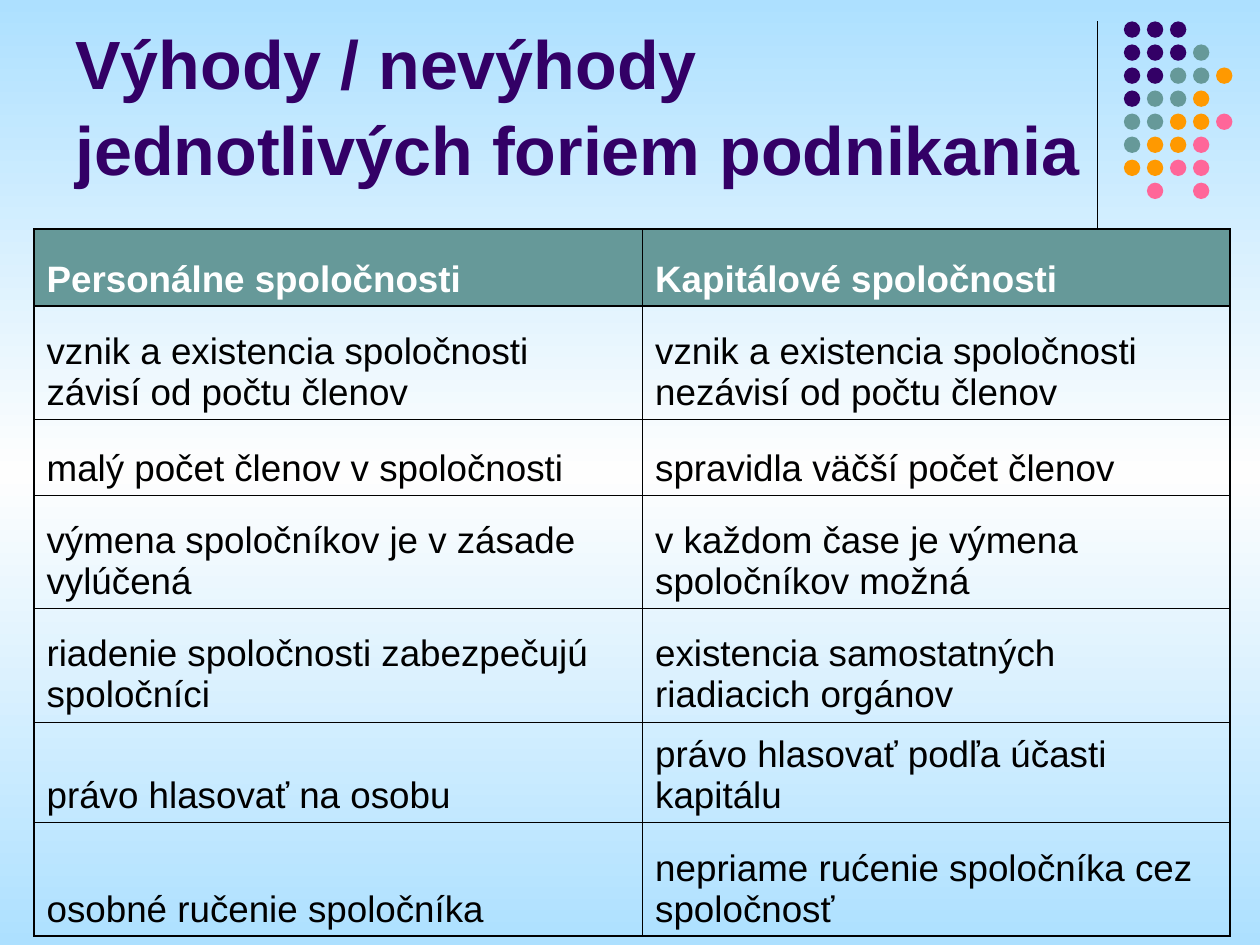
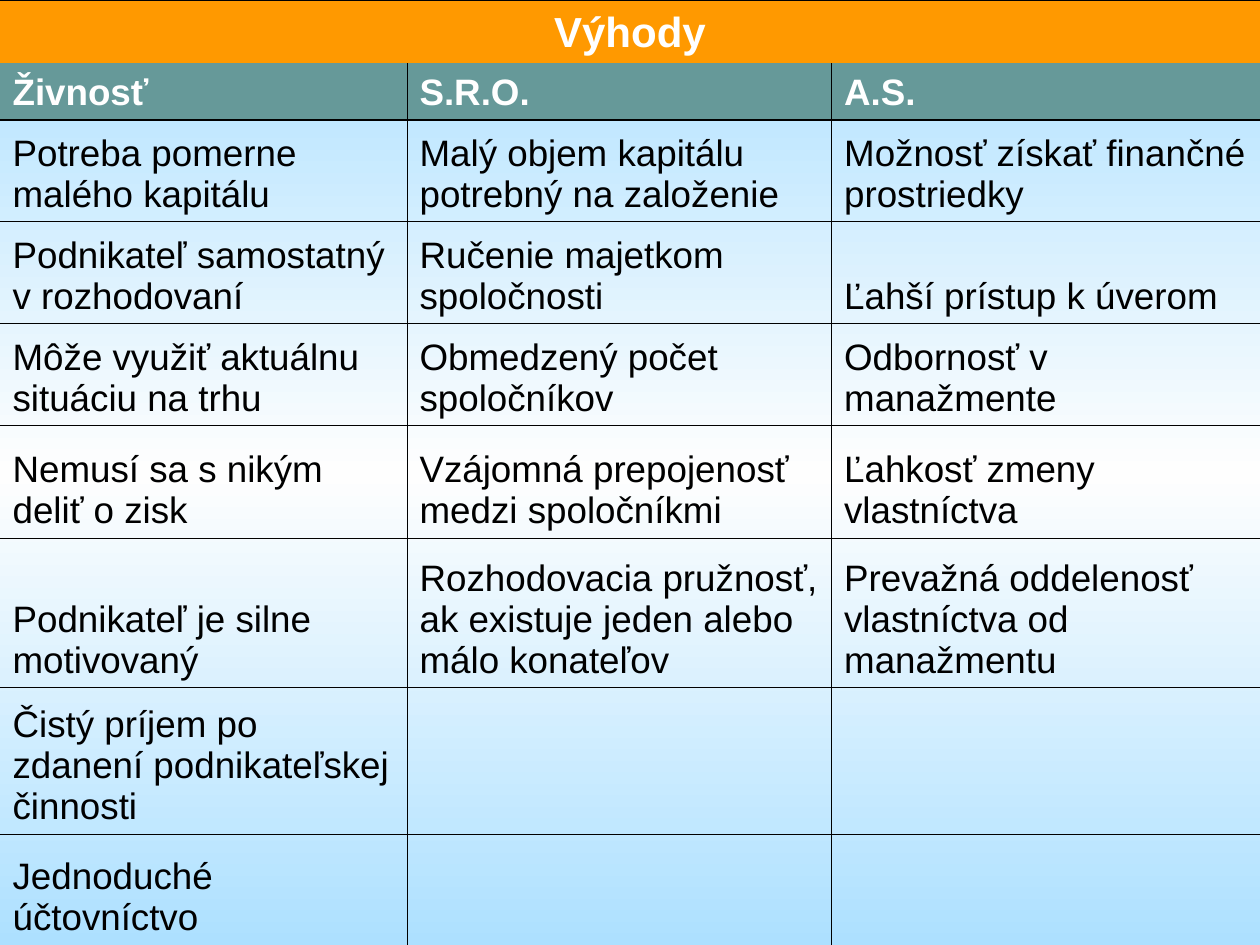
from dataclasses import dataclass

from lxml.etree import SubElement
from pptx import Presentation
from pptx.dml.color import RGBColor as RGB
from pptx.enum.shapes import MSO_CONNECTOR as CONNECTOR, MSO_SHAPE as SHAPE
from pptx.enum.text import MSO_ANCHOR as ANCHOR, PP_ALIGN as ALIGN
from pptx.oxml.ns import qn
from pptx.util import Inches, Pt


@dataclass(frozen=True)
class Theme:
    font: str = "Arial"
    violet: str = "330066"
    teal: str = "669999"
    orange: str = "FF9900"
    pink: str = "FF6699"
    black: str = "000000"
    white: str = "FFFFFF"
    background: tuple = ((0, "ADE0FF"), (50, "FEFEFE"), (100, "ADE0FF"))
    title_size: int = 39
    banner_size: int = 24
    table_size: int = 21
    thin: float = 0.45
    thick: float = 1.08


THEME = Theme()

DOT_ROWS = ["VVV", "VVVT", "VVTTO", "VTTO", "TTOOP", "TOOP", "OOPP", " P P"]
DOT_COLORS = {"V": THEME.violet, "T": THEME.teal, "O": THEME.orange, "P": THEME.pink}

COMPANY_TYPES = [
    ("Personálne spoločnosti", "Kapitálové spoločnosti"),
    ("vznik a existencia spoločnosti závisí od počtu členov",
     "vznik a existencia spoločnosti nezávisí od počtu členov"),
    ("malý počet členov v spoločnosti", "spravidla väčší počet členov"),
    ("výmena spoločníkov je v zásade vylúčená",
     "v každom čase je výmena spoločníkov možná"),
    ("riadenie spoločnosti zabezpečujú spoločníci",
     "existencia samostatných riadiacich orgánov"),
    ("právo hlasovať na osobu", "právo hlasovať podľa účasti kapitálu"),
    ("osobné ručenie spoločníka", "nepriame rućenie spoločníka cez spoločnosť"),
]

ADVANTAGES = [
    ("Výhody", "", ""),
    ("Živnosť", "S.R.O.", "A.S."),
    ("Potreba pomerne malého kapitálu", "Malý objem kapitálu potrebný na založenie",
     "Možnosť získať finančné prostriedky"),
    ("Podnikateľ samostatný v rozhodovaní", "Ručenie majetkom spoločnosti",
     "Ľahší prístup k úverom"),
    ("Môže využiť aktuálnu situáciu na trhu", "Obmedzený počet spoločníkov",
     "Odbornosť v manažmente"),
    ("Nemusí sa s nikým deliť o zisk", "Vzájomná prepojenosť medzi spoločníkmi",
     "Ľahkosť zmeny vlastníctva"),
    ("Podnikateľ je silne motivovaný",
     "Rozhodovacia pružnosť, ak existuje jeden alebo málo konateľov",
     "Prevažná oddelenosť vlastníctva od manažmentu"),
    ("Čistý príjem po zdanení podnikateľskej činnosti", "", ""),
    ("Jednoduché účtovníctvo", "", ""),
]


def rgb(color):
    return RGB.from_string(color)


def set_font(p, size, color, bold=False):
    f = p.font
    f.name, f.size, f.bold = THEME.font, Pt(size), bold
    f.color.rgb = rgb(color)


def add_slide(prs):
    """Blank slide with the shared three-stop vertical gradient."""
    s = prs.slides.add_slide(prs.slide_layouts[6])
    fill = s.background.fill
    fill.gradient()
    fill.gradient_angle = 90
    stops = next(s.element.iter(qn("a:gsLst")))
    for stop in list(stops):
        stops.remove(stop)
    for position, color in THEME.background:
        stop = SubElement(stops, qn("a:gs"), pos=str(position * 1000))
        SubElement(stop, qn("a:srgbClr"), val=color)
    return s


def add_title(s, text):
    box = s.shapes.add_textbox(Inches(0.5), Inches(0.13), Inches(8.25), Inches(1.42))
    tf = box.text_frame
    tf.word_wrap = True
    tf.vertical_anchor = ANCHOR.BOTTOM
    p = tf.paragraphs[0]
    p.text = text
    p.line_spacing = 1.05
    set_font(p, THEME.title_size, THEME.violet, bold=True)


def add_divider(s):
    x = Inches(8.71)
    line = s.shapes.add_connector(CONNECTOR.STRAIGHT, x, Inches(0.17), x, Inches(1.83))
    line.line.color.rgb = rgb(THEME.black)
    line.line.width = Pt(0.75)
    SubElement(line.element.spPr, qn("a:effectLst"))


def add_dots(s):
    left, top, size, pitch = 8.92, 0.17, 0.13, 1.28 / 7
    for i, row in enumerate(DOT_ROWS):
        for j, key in enumerate(row):
            if key == " ":
                continue
            dot = s.shapes.add_shape(SHAPE.OVAL, Inches(left + j * pitch),
                                     Inches(top + i * pitch), Inches(size), Inches(size))
            dot.shadow.inherit = False
            dot.fill.solid()
            dot.fill.fore_color.rgb = rgb(DOT_COLORS[key])
            dot.line.fill.background()


def set_borders(cell, **widths):
    """Draw the sides L, R, T, B; a width of zero hides the side."""
    tc_pr = cell._tc.get_or_add_tcPr()
    for side, width in widths.items():
        ln = SubElement(tc_pr, qn(f"a:ln{side}"), w=str(Pt(width)))
        if width:
            fill = SubElement(ln, qn("a:solidFill"))
            SubElement(fill, qn("a:srgbClr"), val=THEME.black)
        else:
            SubElement(ln, qn("a:noFill"))


def fill_cell(cell, text, size, color, fill=None):
    cell.vertical_anchor = ANCHOR.BOTTOM
    if fill:
        cell.fill.solid()
        cell.fill.fore_color.rgb = rgb(fill)
    else:
        cell.fill.background()
    p = cell.text_frame.paragraphs[0]
    p.text = text
    set_font(p, size, color, bold=fill is not None)


def add_table(s, rows, left, top, widths, heights, edges, banner=False):
    """Table with a teal header row, optionally below a merged orange banner.

    edges holds the outer border widths by side.
    """
    last_row, last_col = len(rows) - 1, len(widths) - 1
    header = 1 if banner else 0
    table = s.shapes.add_table(len(rows), len(widths), Inches(left), Inches(top),
                               Inches(sum(widths)), Inches(sum(heights))).table
    table.first_row = table.horz_banding = False
    for column, width in zip(table.columns, widths):
        column.width = Inches(width)
    for row, height in zip(table.rows, heights):
        row.height = Inches(height)

    # Rule below each row: none under the banner, thick under the header
    below = [THEME.thin] * last_row + [edges["B"]]
    below[header] = THEME.thick
    if banner:
        below[0] = 0

    for i, texts in enumerate(rows):
        for j, text in enumerate(texts):
            cell = table.cell(i, j)
            inner = 0 if i < header else THEME.thin
            set_borders(cell,
                        L=inner if j else edges["L"],
                        R=inner if j < last_col else edges["R"],
                        T=below[i - 1] if i else edges["T"],
                        B=below[i])
            if i < header:
                fill_cell(cell, text, THEME.banner_size, THEME.white, THEME.orange)
            elif i == header:
                fill_cell(cell, text, THEME.table_size, THEME.white, THEME.teal)
            else:
                fill_cell(cell, text, THEME.table_size, THEME.black)

    if banner:
        table.cell(0, 0).merge(table.cell(0, last_col))
        table.cell(0, 0).text_frame.paragraphs[0].alignment = ALIGN.CENTER


def main():
    prs = Presentation()
    prs.slide_width, prs.slide_height = Inches(10), Inches(7.5)

    # Comparison of company types
    s = add_slide(prs)
    add_divider(s)
    add_dots(s)
    add_title(s, "Výhody / nevýhody jednotlivých foriem podnikania")
    add_table(s, COMPANY_TYPES, 0.27, 1.82, widths=[4.83, 4.66],
              heights=[0.61, 0.9, 0.6, 0.9, 0.9, 0.8, 0.9],
              edges=dict.fromkeys("LRTB", THEME.thick))

    # Advantages of each legal form
    s = add_slide(prs)
    add_table(s, ADVANTAGES, 0, 0, widths=[3.23, 3.37, 3.4],
              heights=[0.5, 0.45, 0.81, 0.81, 0.81, 0.89, 1.19, 1.16, 0.88],
              edges={"L": 0, "R": THEME.thin, "T": THEME.thin, "B": THEME.thin},
              banner=True)

    prs.save("out.pptx")


if __name__ == "__main__":
    main()
